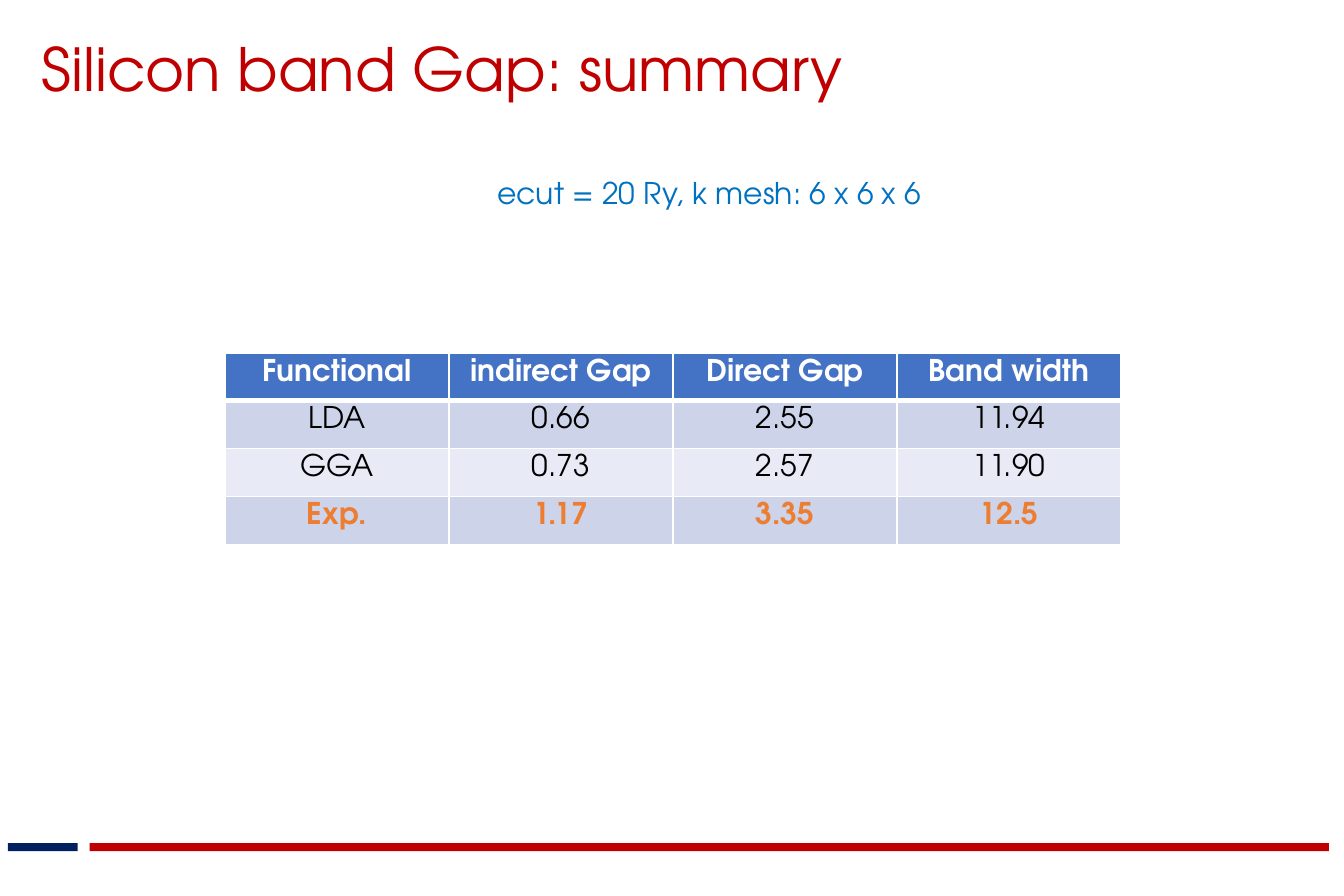
from dataclasses import dataclass

from lxml.etree import SubElement
from pptx import Presentation
from pptx.dml.color import RGBColor as Rgb
from pptx.enum.shapes import MSO_SHAPE as Preset
from pptx.enum.text import MSO_ANCHOR as Anchor, PP_ALIGN as Align
from pptx.oxml.ns import qn
from pptx.util import Cm, Pt


@dataclass(frozen=True)
class Theme:
    font: str = "TeX Gyre Adventor"
    title_size: int = 34
    body_size: int = 17
    red: str = "C00000"
    navy: str = "002060"
    blue: str = "0070C0"
    orange: str = "ED7D31"
    black: str = "000000"
    white: str = "FFFFFF"
    header: str = "4472C4"
    bands: tuple = ("CDD4EA", "E8EBF5")


def apply(target, values):
    for name, value in values.items():
        setattr(target, name, value)


class SlideBuilder:
    def __init__(self, page, theme):
        self.page = page
        self.theme = theme

    def add_span(self, frame, text, size, color, bold=False, align=Align.LEFT):
        para = frame.paragraphs[0]
        para.alignment = align
        span = para.add_run()
        span.text = text
        apply(span.font, {"name": self.theme.font, "size": Pt(size), "bold": bold})
        span.font.color.rgb = Rgb.from_string(color)

    def add_bar(self, left, top, width, height, color):
        shape = self.page.shapes.add_shape(
            Preset.RECTANGLE, Cm(left), Cm(top), Cm(width), Cm(height))
        shape.shadow.inherit = False
        shape.fill.solid()
        shape.fill.fore_color.rgb = Rgb.from_string(color)
        shape.line.fill.background()

    def add_text(self, at, text, size, color, margins, anchor=Anchor.TOP):
        box = self.page.shapes.add_textbox(*map(Cm, at))
        sides = ("margin_left", "margin_top", "margin_right", "margin_bottom")
        apply(box.text_frame, {"word_wrap": True, "vertical_anchor": anchor,
                               **dict(zip(sides, map(Cm, margins)))})
        self.add_span(box.text_frame, text, size, color)

    def add_borders(self, cell, widths):
        properties = cell._tc.get_or_add_tcPr()
        for index, (side, width) in enumerate(widths.items()):
            line = SubElement(properties, qn(f"a:ln{side}"), w=str(Pt(width)))
            fill = SubElement(line, qn("a:solidFill"))
            SubElement(fill, qn("a:srgbClr"), val=self.theme.white)
            properties.insert(index, line)

    def add_table(self, left, top, column_width, row_height, rows):
        theme = self.theme
        count, columns = len(rows), len(rows[0])
        table = self.page.shapes.add_table(
            count, columns, Cm(left), Cm(top),
            Cm(column_width * columns), Cm(row_height * count)).table
        for row_index, values in enumerate(rows):
            header, last = row_index == 0, row_index == count - 1
            color = theme.white if header else theme.orange if last else theme.black
            fill = theme.header if header else theme.bands[(row_index - 1) % 2]
            widths = {"L": 1, "R": 1, "T": 3 if row_index == 1 else 1,
                      "B": 3 if header else 1}
            for column_index, value in enumerate(values):
                cell = table.cell(row_index, column_index)
                cell.fill.solid()
                cell.fill.fore_color.rgb = Rgb.from_string(fill)
                apply(cell, {"margin_left": Cm(0.2), "margin_right": Cm(0.2),
                             "margin_top": Cm(0.12), "margin_bottom": Cm(0.12)})
                self.add_borders(cell, widths)
                self.add_span(cell.text_frame, value, theme.body_size, color,
                              header or last, Align.CENTER)


def main():
    deck = Presentation()
    apply(deck, {"slide_width": Cm(27), "slide_height": Cm(18)})
    theme = Theme()
    slide = SlideBuilder(deck.slides.add_slide(deck.slide_layouts[6]), theme)
    slide.add_bar(0.16, 16.94, 1.4, 0.16, theme.navy)
    slide.add_bar(1.8, 16.94, 24.9, 0.16, theme.red)
    slide.add_text((0.84, 0.03, 26.06, 2.64), "Silicon band Gap: summary",
                   theme.title_size, theme.red, (0, 0, 0.05, 0), Anchor.MIDDLE)
    slide.add_table(4.52, 7.09, 4.5, 0.95, [
        ("Functional", "indirect Gap", "Direct Gap", "Band width"),
        ("LDA", "0.66", "2.55", "11.94"),
        ("GGA", "0.73", "2.57", "11.90"),
        ("Exp.", "1.17", "3.35", "12.5"),
    ])
    slide.add_text((8.64, 3.4, 10.85, 0.94), "ecut = 20 Ry, k mesh: 6 x 6 x 6",
                   theme.body_size, theme.blue, (1.35, 0.1, 0.2, 0.1))
    deck.save("out.pptx")


if __name__ == "__main__":
    main()
